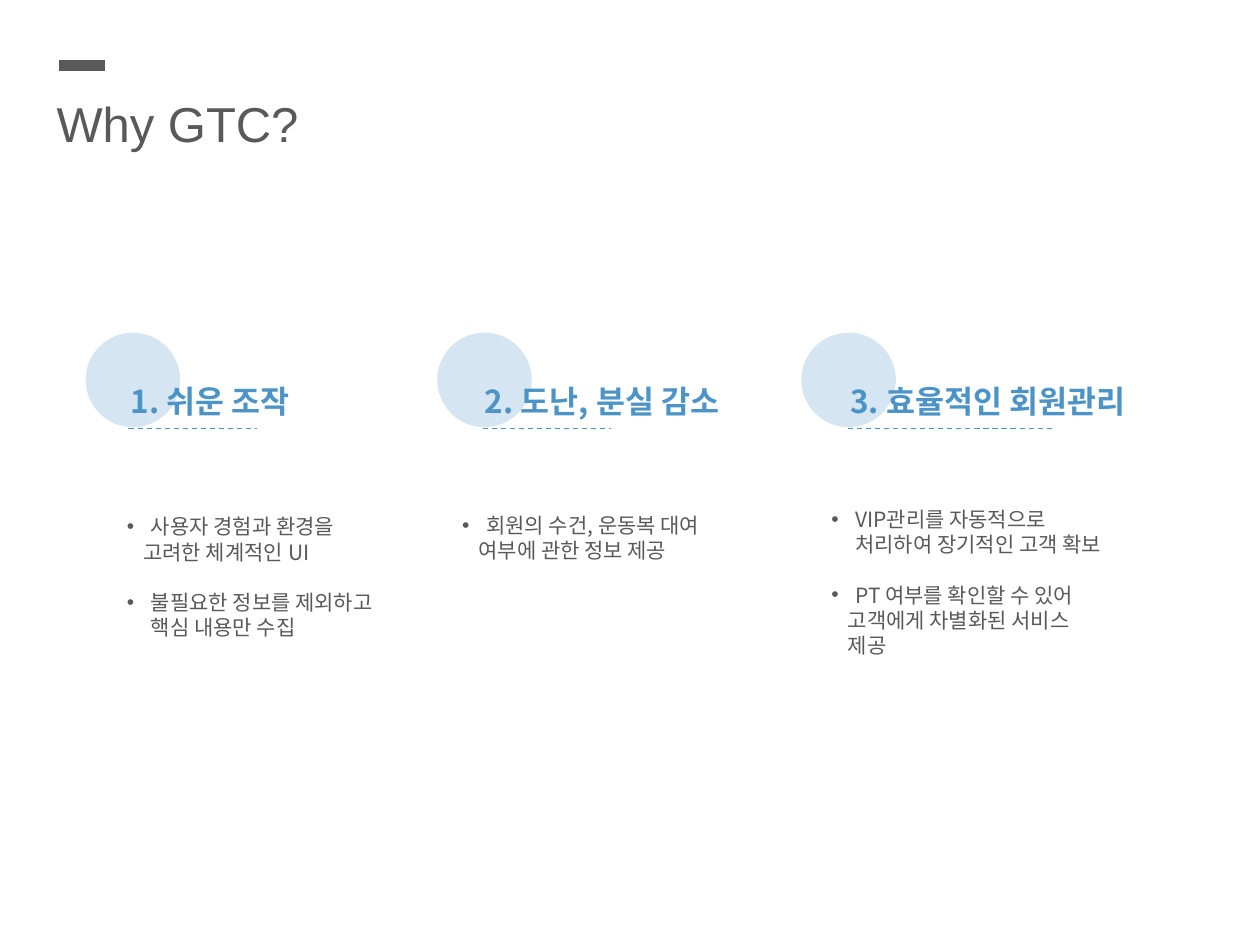
from lxml import etree
from pptx import Presentation
from pptx import util as u
from pptx.dml.color import RGBColor
from pptx.enum import dml, shapes
from pptx.oxml.ns import qn

BLUE, GRAY = "4C93C7", "595959"
KOREAN = "Noto Sans CJK KR"
HANG, CONTINUED = 0.19, 0.13


def color(value):
    return RGBColor.from_string(value)


def add_text(content, left, top, width, height, size=12, font=KOREAN,
             fill=GRAY, bold=False, spacing=None):
    """Each item of content is (text, kind): kind is plain, bullet or continued."""
    box = page.shapes.add_textbox(*map(u.Inches, (left, top, width, height)))
    frame = box.text_frame
    frame.word_wrap = True
    for index, (words, kind) in enumerate(content):
        para = frame.paragraphs[0] if index == 0 else frame.add_paragraph()
        para.text = words
        if spacing:
            para.line_spacing = u.Pt(spacing)
        props = para._p.get_or_add_pPr()
        if kind == "bullet":
            if index:
                para.space_before = u.Pt(spacing)
            props.set("marL", str(u.Inches(HANG)))
            props.set("indent", str(-u.Inches(HANG)))
            etree.SubElement(props, qn("a:buFont")).set("typeface", "Arial")
            etree.SubElement(props, qn("a:buChar")).set("char", "•")
        elif kind == "continued":
            props.set("marL", str(u.Inches(CONTINUED)))
        for span in para.runs:
            span.font.size = u.Pt(size)
            span.font.name = font
            span.font.bold = bold
            span.font.color.rgb = color(fill)
            east = etree.SubElement(span._r.get_or_add_rPr(), qn("a:ea"))
            east.set("typeface", font)


def add_rule(left, top, length, fill, weight, dashed=False):
    rule = page.shapes.add_connector(
        shapes.MSO_CONNECTOR.STRAIGHT, u.Inches(left), u.Inches(top),
        u.Inches(left + length), u.Inches(top))
    rule.line.color.rgb = color(fill)
    rule.line.width = u.Pt(weight)
    if dashed:
        rule.line.dash_style = dml.MSO_LINE.DASH
    etree.SubElement(rule._element.spPr, qn("a:effectLst"))


deck = Presentation()
deck.slide_width, deck.slide_height = u.Inches(10), u.Inches(7.5)
page = deck.slides.add_slide(deck.slide_layouts[6])

# Columns: circle left, heading left and width, rule length, heading,
# body left, top, width and height, body lines
columns = [
    (0.68, 0.94, 2.18, 1.02, "1. 쉬운 조작", (0.91, 4.03, 2.44, 1.11), [
        ("사용자 경험과 환경을", "bullet"),
        ("고려한 체계적인 UI", "continued"),
        ("불필요한 정보를 제외하고\v핵심 내용만 수집", "bullet")]),
    (3.47, 3.75, 2.56, 1.02, "2. 도난, 분실 감소", (3.57, 4.02, 2.56, 0.5), [
        ("회원의 수건, 운동복 대여", "bullet"),
        ("여부에 관한 정보 제공", "continued")]),
    (6.36, 6.65, 2.86, 1.62, "3. 효율적인 회원관리", (6.5, 3.97, 2.56, 1.31), [
        ("VIP관리를 자동적으로\v처리하여 장기적인 고객 확보", "bullet"),
        ("PT 여부를 확인할 수 있어", "bullet"),
        ("고객에게 차별화된 서비스", "continued"),
        ("제공", "continued")]),
]

# Pale circles behind the headings
for left, *rest in columns:
    circle = page.shapes.add_shape(
        shapes.MSO_SHAPE.OVAL, *map(u.Inches, (left, 2.64, 0.75, 0.75)))
    circle.shadow.inherit = False
    circle.line.fill.background()
    circle.fill.solid()
    circle.fill.fore_color.rgb = color(BLUE)
    tint = circle._element.spPr.find(qn("a:solidFill"))[0]
    etree.SubElement(tint, qn("a:alpha")).set("val", "23000")

# Title with its accent bar
add_text([("Why GTC?", "plain")], 0.35, 0.69, 5.59, 0.57, size=28, font="Arial")
add_rule(0.47, 0.52, 0.36, GRAY, 6)

# Headings, dashed rules and bullets
for circle_left, left, width, length, heading, place, lines in columns:
    add_text([(heading, "plain")], left, 2.96, width, 0.4,
             size=18, fill=BLUE, bold=True, spacing=23.5)
    add_rule(left + 0.08, 3.4, length, BLUE, 0.75, dashed=True)
    add_text(lines, *place, spacing=14.4)

deck.save("out.pptx")
